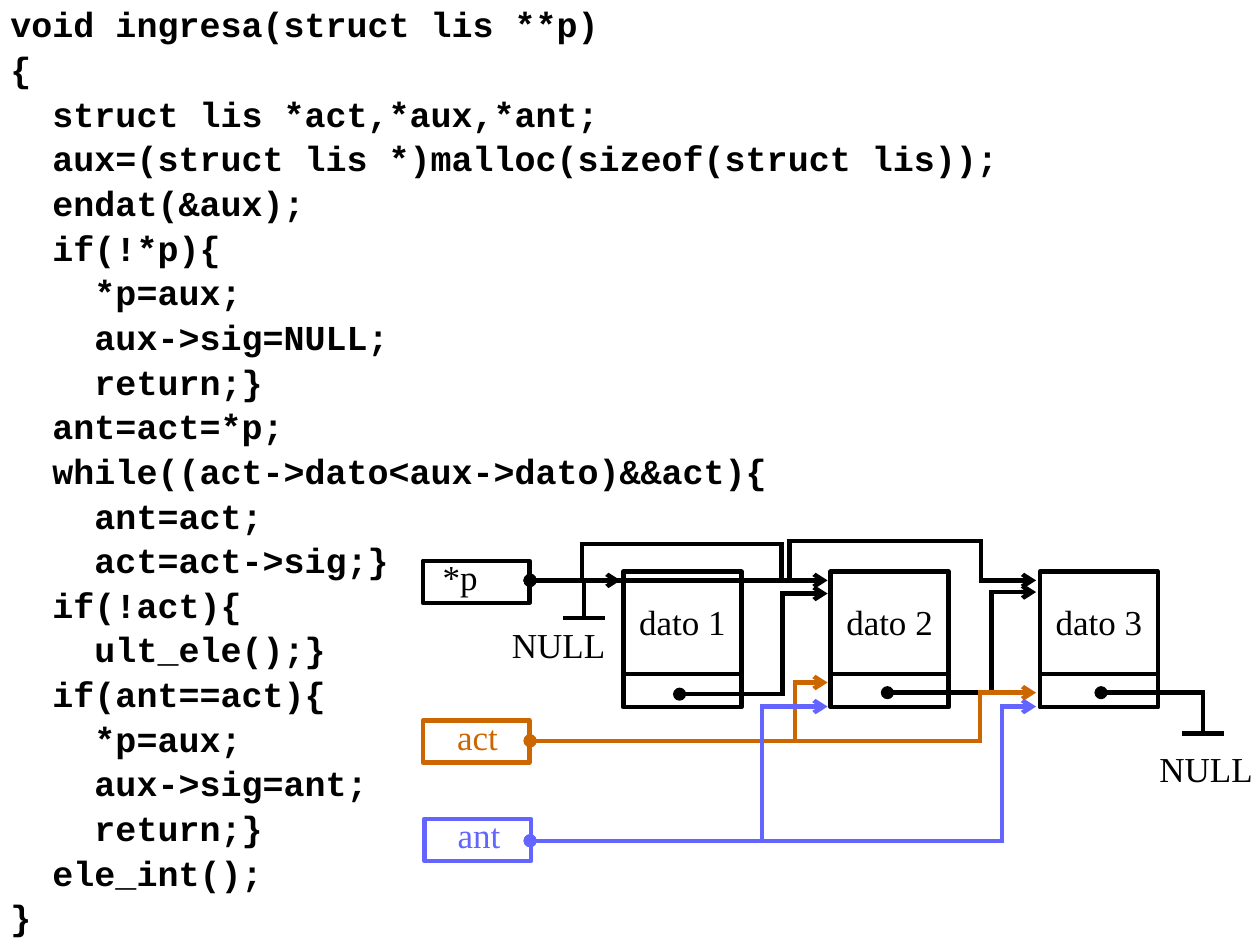
from itertools import pairwise
from lxml import etree
from pptx import Presentation
from pptx.dml.color import RGBColor
from pptx.enum import shapes, text
from pptx.oxml.ns import qn
from pptx.util import Pt

BLACK = RGBColor(0, 0, 0)
WHITE = RGBColor(255, 255, 255)
ORANGE = RGBColor(0xCC, 0x66, 0x00)
BLUE = RGBColor(0x64, 0x64, 0xFF)
MONO, SERIF = "Courier New", "Times New Roman"

# Content: the code, one line each
CODE = [
    "void ingresa(struct lis **p)",
    "{",
    "  struct lis *act,*aux,*ant;",
    "  aux=(struct lis *)malloc(sizeof(struct lis));",
    "  endat(&aux);",
    "  if(!*p){",
    "    *p=aux;",
    "    aux->sig=NULL;",
    "    return;}",
    "  ant=act=*p;",
    "  while((act->dato<aux->dato)&&act){",
    "    ant=act;",
    "    act=act->sig;}",
    "  if(!act){",
    "    ult_ele();}",
    "  if(ant==act){",
    "    *p=aux;",
    "    aux->sig=ant;",
    "    return;}",
    "  ele_int();",
    "}",
]

# Content: list nodes (label, left), pointers (label, left, top, label width, colour)
NODES = [("dato 1", 427.5), ("dato 2", 569.5), ("dato 3", 713)]
VARS = [("*p", 290, 384.5, 43, BLACK),
        ("act", 290, 494, 67, ORANGE),
        ("ant", 291, 561.5, 67, BLUE)]

# NULL marks: label left, label top, bar centre, bar height
NULLS = [(347, 430, 400.5, 424), (791, 515, 825, 503)]

# Levels and columns shared by the links
ROW_P, ROW_ACT, ROW_ANT = 398, 508, 576.5
OUT = 363.5
IN_1, IN_2, IN_3 = 425.5, 567.5, 710.5

# Links: colour, arrow at the end, corner points
LINKS = [
    (BLACK, False, [(OUT, ROW_P), (400.5, ROW_P), (400.5, 424)]),
    (BLACK, False, [(755, 475), (825, 475), (825, 503)]),
    (BLACK, True, [(OUT, ROW_P), (399, ROW_P), (399, 373), (536, 373),
                   (536, ROW_P), (IN_2, ROW_P)]),
    (BLACK, True, [(OUT, ROW_P), (541.5, ROW_P), (541.5, 371), (672.5, 371),
                   (672.5, ROW_P), (IN_3, ROW_P)]),
    (BLACK, True, [(OUT, ROW_P), (IN_1, ROW_P)]),
    (BLACK, True, [(466, 476), (536.5, 476), (536.5, 407), (IN_2, 407)]),
    (BLACK, True, [(608.5, 475), (680, 475), (680, 406), (IN_3, 406)]),
    (ORANGE, True, [(OUT, ROW_ACT), (545, ROW_ACT), (545, 468), (IN_2, 468)]),
    (ORANGE, True, [(OUT, ROW_ACT), (672, ROW_ACT), (672, 475), (IN_3, 475)]),
    (BLUE, True, [(OUT, ROW_ANT), (522.5, ROW_ANT), (522.5, 484.5), (IN_2, 484.5)]),
    (BLUE, True, [(OUT, ROW_ANT), (687, ROW_ANT), (687, 484.5), (IN_3, 484.5)]),
]

deck = Presentation()
deck.slide_width, deck.slide_height = Pt(864), Pt(648)
slide = deck.slides.add_slide(deck.slide_layouts[6])


def add_run(para, words, face, color, bold=False):
    run = para.add_run()
    run.text = words
    font = run.font
    font.name, font.size, font.bold = face, Pt(24), bold
    font.color.rgb = color


def add_rect(left, top, width, height, color):
    rect = slide.shapes.add_shape(shapes.MSO_SHAPE.RECTANGLE, Pt(left), Pt(top),
                                  Pt(width), Pt(height))
    rect.shadow.inherit = False
    rect.fill.solid()
    rect.fill.fore_color.rgb = WHITE
    rect.line.color.rgb = color
    rect.line.width = Pt(3)


def add_box(left, top, width, height):
    box = slide.shapes.add_textbox(Pt(left), Pt(top), Pt(width), Pt(height))
    frame = box.text_frame
    frame.margin_left = frame.margin_right = 0
    frame.margin_top = frame.margin_bottom = 0
    frame.word_wrap = False
    return frame


def add_label(words, left, top, width, height, color=BLACK):
    frame = add_box(left, top, width, height)
    frame.vertical_anchor = text.MSO_ANCHOR.MIDDLE
    para = frame.paragraphs[0]
    para.alignment = text.PP_ALIGN.CENTER
    add_run(para, words, SERIF, color)


def add_line(start, end, color, head=None, tail=None):
    line = slide.shapes.add_connector(shapes.MSO_CONNECTOR.STRAIGHT,
                                      *map(Pt, start + end))
    line.line.color.rgb = color
    line.line.width = Pt(3)
    pen = line.line._get_or_add_ln()
    pen.set("cap", "sq")
    for tag, kind in (("a:headEnd", head), ("a:tailEnd", tail)):
        if kind:
            etree.SubElement(pen, qn(tag)).set("type", kind)
    etree.SubElement(line._element.spPr, qn("a:effectLst"))


# Code listing
frame = add_box(7.2, 0.2, 700, 643)
for i, words in enumerate(CODE):
    para = frame.paragraphs[0] if i == 0 else frame.add_paragraph()
    para.line_spacing = Pt(30.6)
    add_run(para, words, MONO, BLACK, True)

# List nodes with their link fields
for words, left in NODES:
    add_rect(left, 392, 81, 93, BLACK)
    add_line((left, 462), (left + 81, 462), BLACK)
    add_label(words, left + 4.5, 395, 72, 62)

# Pointer variables
for words, left, top, width, color in VARS:
    add_rect(left, top, 73, 29, color)
    add_label(words, left + 4, top + 4, width, 14, color)

# NULL marks
for left, top, mid, level in NULLS:
    add_line((mid - 13, level), (mid + 13, level), BLACK)
    add_label("NULL", left, top, 72, 24.5)

# Links, each made of straight legs
for color, arrow, points in LINKS:
    legs = list(pairwise(points))
    for i, (start, end) in enumerate(legs):
        last = i == len(legs) - 1
        add_line(start, end, color, "oval" if i == 0 else None,
                 "arrow" if arrow and last else None)

deck.save("out.pptx")
